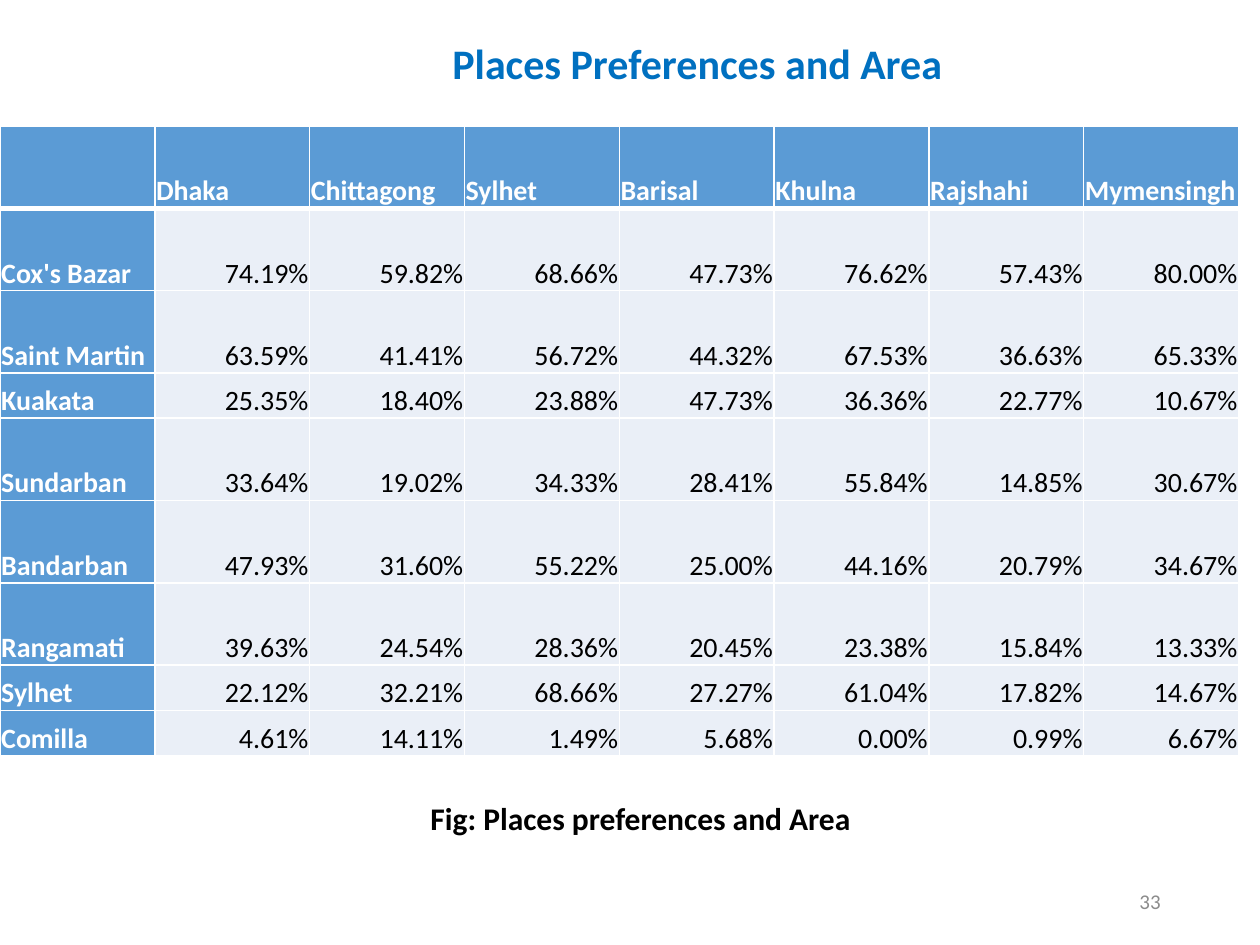
"""Build the slide comparing place preferences across areas in a table."""
from lxml.etree import SubElement
from pptx import Presentation
from pptx.dml.color import RGBColor
from pptx.enum.text import MSO_ANCHOR, PP_ALIGN
from pptx.oxml import parse_xml
from pptx.oxml.ns import nsdecls, qn
from pptx.util import Inches, Pt

FONT = "Calibri"
WHITE = RGBColor(0xFF, 0xFF, 0xFF)
BLACK = RGBColor(0x00, 0x00, 0x00)
GRAY = RGBColor(0x8C, 0x8C, 0x8C)
TITLE_BLUE = RGBColor(0x00, 0x70, 0xC0)
HEADER_BLUE = RGBColor(0x5B, 0x9B, 0xD5)
BODY_BLUE = RGBColor(0xEA, 0xEF, 0xF7)

TITLE = "Places Preferences and Area"
CAPTION = "Fig: Places preferences and Area"
PAGE_NUMBER = "33"
AREAS = ["Dhaka", "Chittagong", "Sylhet", "Barisal", "Khulna", "Rajshahi", "Mymensingh"]
PREFERENCES = [
    ("Cox's Bazar", [74.19, 59.82, 68.66, 47.73, 76.62, 57.43, 80.00]),
    ("Saint Martin", [63.59, 41.41, 56.72, 44.32, 67.53, 36.63, 65.33]),
    ("Kuakata", [25.35, 18.40, 23.88, 47.73, 36.36, 22.77, 10.67]),
    ("Sundarban", [33.64, 19.02, 34.33, 28.41, 55.84, 14.85, 30.67]),
    ("Bandarban", [47.93, 31.60, 55.22, 25.00, 44.16, 20.79, 34.67]),
    ("Rangamati", [39.63, 24.54, 28.36, 20.45, 23.38, 15.84, 13.33]),
    ("Sylhet", [22.12, 32.21, 68.66, 27.27, 61.04, 17.82, 14.67]),
    ("Comilla", [4.61, 14.11, 1.49, 5.68, 0.00, 0.99, 6.67]),
]
SHORT_ROWS = {"Kuakata", "Sylhet", "Comilla"}
TABLE_WIDTH, TABLE_HEIGHT, SHORT_HEIGHT = 9.83, 5, 0.36


def write(frame, text, size, color, bold, alignment):
    paragraph = frame.paragraphs[0]
    paragraph.alignment = alignment
    run = paragraph.add_run()
    run.text = text
    run.font.name = FONT
    run.font.size = Pt(size)
    run.font.bold = bold
    run.font.color.rgb = color


def place_text(shape, box, anchor, *text_format):
    shape.left, shape.top, shape.width, shape.height = map(Inches, box)
    shape.text_frame.word_wrap = True
    shape.text_frame.vertical_anchor = anchor
    write(shape.text_frame, *text_format)


def add_text(slide, box, *text_settings):
    place_text(slide.shapes.add_textbox(*map(Inches, box)), box, *text_settings)


def set_borders(cell, top, bottom):
    properties = cell._tc.get_or_add_tcPr()
    widths = {"lnL": 1, "lnR": 1, "lnT": top, "lnB": bottom}
    for position, (side, width) in enumerate(widths.items()):
        line = parse_xml(f'<a:{side} {nsdecls("a")} w="{Pt(width)}"/>')
        fill = SubElement(line, qn("a:solidFill"))
        SubElement(fill, qn("a:srgbClr"), val=str(WHITE))
        properties.insert(position, line)


def format_cell(cell, text, row, column):
    is_label = row == 0 or column == 0
    cell.margin_left = cell.margin_top = cell.margin_right = Inches(0.01)
    cell.margin_bottom = 0
    cell.vertical_anchor = MSO_ANCHOR.BOTTOM
    cell.fill.solid()
    cell.fill.fore_color.rgb = HEADER_BLUE if is_label else BODY_BLUE
    set_borders(cell, 3 if row == 1 else 1, 3 if row == 0 else 1)
    if text:
        write(cell.text_frame, text, 16, WHITE if is_label else BLACK, is_label,
              PP_ALIGN.LEFT if is_label else PP_ALIGN.RIGHT)


def add_preference_table(slide):
    rows = [["", *AREAS]]
    rows += [[place, *(f"{share:.2f}%" for share in shares)] for place, shares in PREFERENCES]
    table = slide.shapes.add_table(
        len(rows), len(rows[0]), 0, Inches(1), Inches(TABLE_WIDTH), Inches(TABLE_HEIGHT)
    ).table
    table.horz_banding = False
    tall_count = len(rows) - len(SHORT_ROWS)
    tall_height = (TABLE_HEIGHT - SHORT_HEIGHT * len(SHORT_ROWS)) / tall_count
    for column in table.columns:
        column.width = Inches(TABLE_WIDTH / len(rows[0]))
    for row, values in enumerate(rows):
        table.rows[row].height = Inches(SHORT_HEIGHT if values[0] in SHORT_ROWS else tall_height)
        for column, text in enumerate(values):
            format_cell(table.cell(row, column), text, row, column)


def main():
    presentation = Presentation()
    presentation.slide_width, presentation.slide_height = Inches(10), Inches(7.5)
    slide = presentation.slides.add_slide(presentation.slide_layouts[5])
    add_text(slide, (7.06, 6.95, 2.25, 0.4), MSO_ANCHOR.MIDDLE,
             PAGE_NUMBER, 12, GRAY, False, PP_ALIGN.RIGHT)
    add_preference_table(slide)
    place_text(slide.shapes.title, (3.48, 0.25, 4.11, 0.5), MSO_ANCHOR.TOP,
               TITLE, 24, TITLE_BLUE, True, PP_ALIGN.CENTER)
    add_text(slide, (1.42, 6.29, 7.33, 0.4), MSO_ANCHOR.TOP,
             CAPTION, 18, BLACK, True, PP_ALIGN.CENTER)
    presentation.save("out.pptx")


if __name__ == "__main__":
    main()
